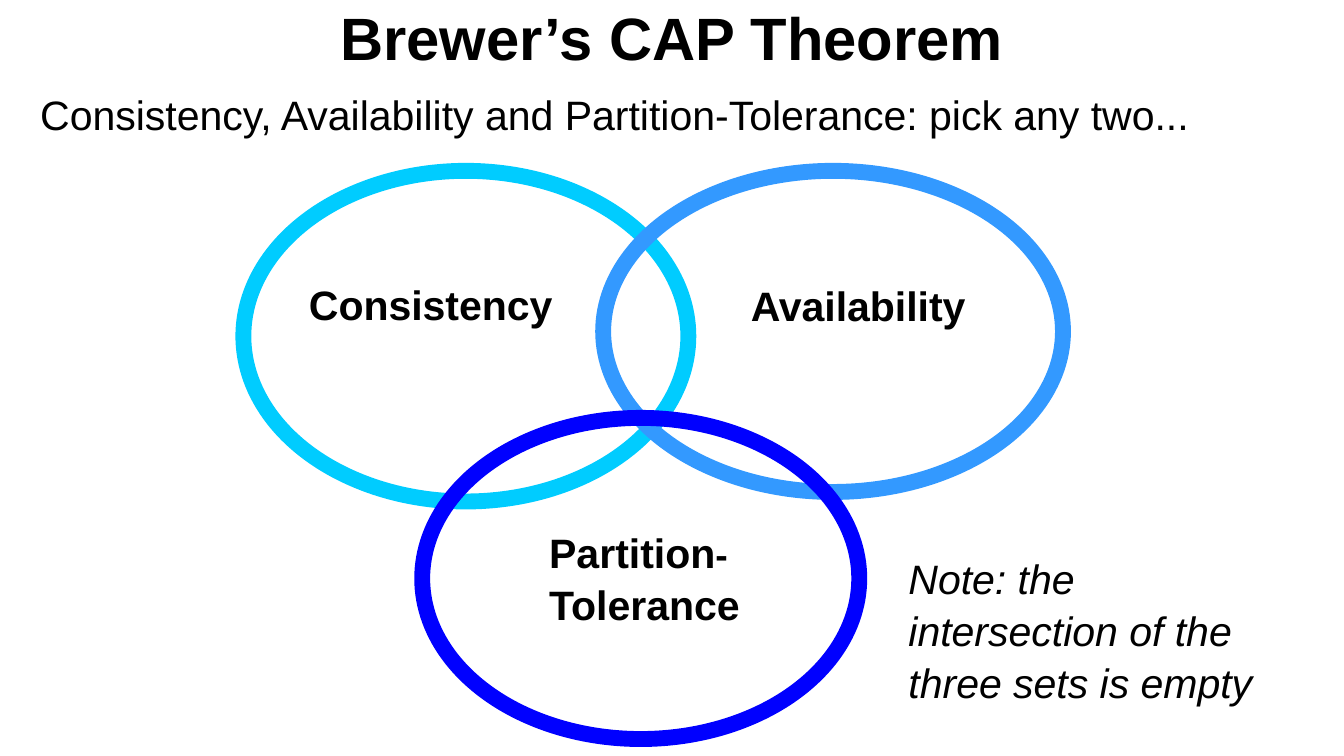
from lxml import etree
from pptx import Presentation
from pptx.dml.color import RGBColor
from pptx.enum.shapes import MSO_SHAPE
from pptx.enum.text import MSO_ANCHOR, MSO_AUTO_SIZE, PP_ALIGN
from pptx.oxml.ns import qn
from pptx.util import Cm, Pt

OVAL = MSO_SHAPE.OVAL
TOP, MIDDLE = MSO_ANCHOR.TOP, MSO_ANCHOR.MIDDLE
LEFT, CENTER = PP_ALIGN.LEFT, PP_ALIGN.CENTER
NO_AUTOFIT = MSO_AUTO_SIZE.NONE

THEME = {
    "font": "Arial", "text": "000000", "line_spacing": 1.05, "ring_width": 8.5,
    "title_size": 32, "text_size": 22, "hyphen_size": 20,
    "consistency": "00CCFF", "availability": "3399FF", "partition": "0000FF",
}

# Boxes are left, top, width, height in centimetres.
SLIDE_SIZE = (25.4, 14.29)
TITLE = ("Brewer’s CAP Theorem", (0, 0, 25.4, 1.3))
SUBTITLE = ("Consistency, Availability and Partition-Tolerance: pick any two...",
            (0.51, 1.52, 23.62, 1.52))
RINGS = [
    ("consistency", (4.6, 3.23, 8.41, 6.25)),
    ("availability", (11.4, 3.23, 8.69, 6.07)),
    ("partition", (7.98, 7.9, 8.26, 6.07)),
]
# Each paragraph is a list of (text, size name) runs.
LABELS = [
    ([[("Partition", "text_size"), ("-", "hyphen_size")], [("Tolerance", "text_size")]],
     (10.13, 9.8, 5.69, 2.41), {"bold": True}),
    ([[("Availability", "text_size")]], (13.94, 5.13, 5.16, 1.3), {"bold": True}),
    ([[("Consistency", "text_size")]], (5.59, 5.11, 5.31, 1.83), {"bold": True}),
    ([[("Note: the intersection of the three sets is empty", "text_size")]],
     (16.92, 10.29, 7.67, 3.2), {"italic": True}),
]


def apply_format(target, values):
    for name, value in values.items():
        setattr(target, name, value)


def place(shape, box):
    names = ("left", "top", "width", "height")
    apply_format(shape, dict(zip(names, map(Cm, box))))


def write(shape, paragraphs, font_format, align=LEFT, anchor=TOP):
    frame = shape.text_frame
    apply_format(frame, {
        "word_wrap": True, "auto_size": NO_AUTOFIT, "vertical_anchor": anchor,
        "margin_left": Cm(0.25), "margin_right": Cm(0.25),
        "margin_top": Cm(0.13), "margin_bottom": Cm(0.13),
    })
    for index, runs in enumerate(paragraphs):
        paragraph = frame.add_paragraph() if index else frame.paragraphs[0]
        apply_format(paragraph, {
            "alignment": align, "line_spacing": THEME["line_spacing"],
            "space_before": Pt(0), "space_after": Pt(0),
        })
        for text, size in runs:
            run = paragraph.add_run()
            run.text = text
            apply_format(run.font, {"name": THEME["font"], "size": Pt(THEME[size]),
                                    **font_format})
            run.font.color.rgb = RGBColor.from_string(THEME["text"])


def remove_bullet(paragraph):
    properties = paragraph._p.get_or_add_pPr()
    properties.set("marL", "0")
    properties.set("indent", "0")
    etree.SubElement(properties, qn("a:buNone"))


def add_ring(slide, color, box):
    ring = slide.shapes.add_shape(OVAL, *map(Cm, box))
    ring.shadow.inherit = False
    ring.fill.background()
    ring.line.color.rgb = RGBColor.from_string(THEME[color])
    ring.line.width = Pt(THEME["ring_width"])


def main():
    presentation = Presentation()
    presentation.slide_width, presentation.slide_height = map(Cm, SLIDE_SIZE)
    slide = presentation.slides.add_slide(presentation.slide_layouts[1])

    title = slide.shapes.title
    text, box = TITLE
    place(title, box)
    write(title, [[(text, "title_size")]], {"bold": True}, CENTER, MIDDLE)

    subtitle = slide.placeholders[1]
    text, box = SUBTITLE
    place(subtitle, box)
    write(subtitle, [[(text, "text_size")]], {"bold": False})
    remove_bullet(subtitle.text_frame.paragraphs[0])

    for color, box in RINGS:
        add_ring(slide, color, box)
    for paragraphs, box, font_format in LABELS:
        label = slide.shapes.add_textbox(*map(Cm, box))
        write(label, paragraphs, font_format)

    presentation.save("out.pptx")


if __name__ == "__main__":
    main()
